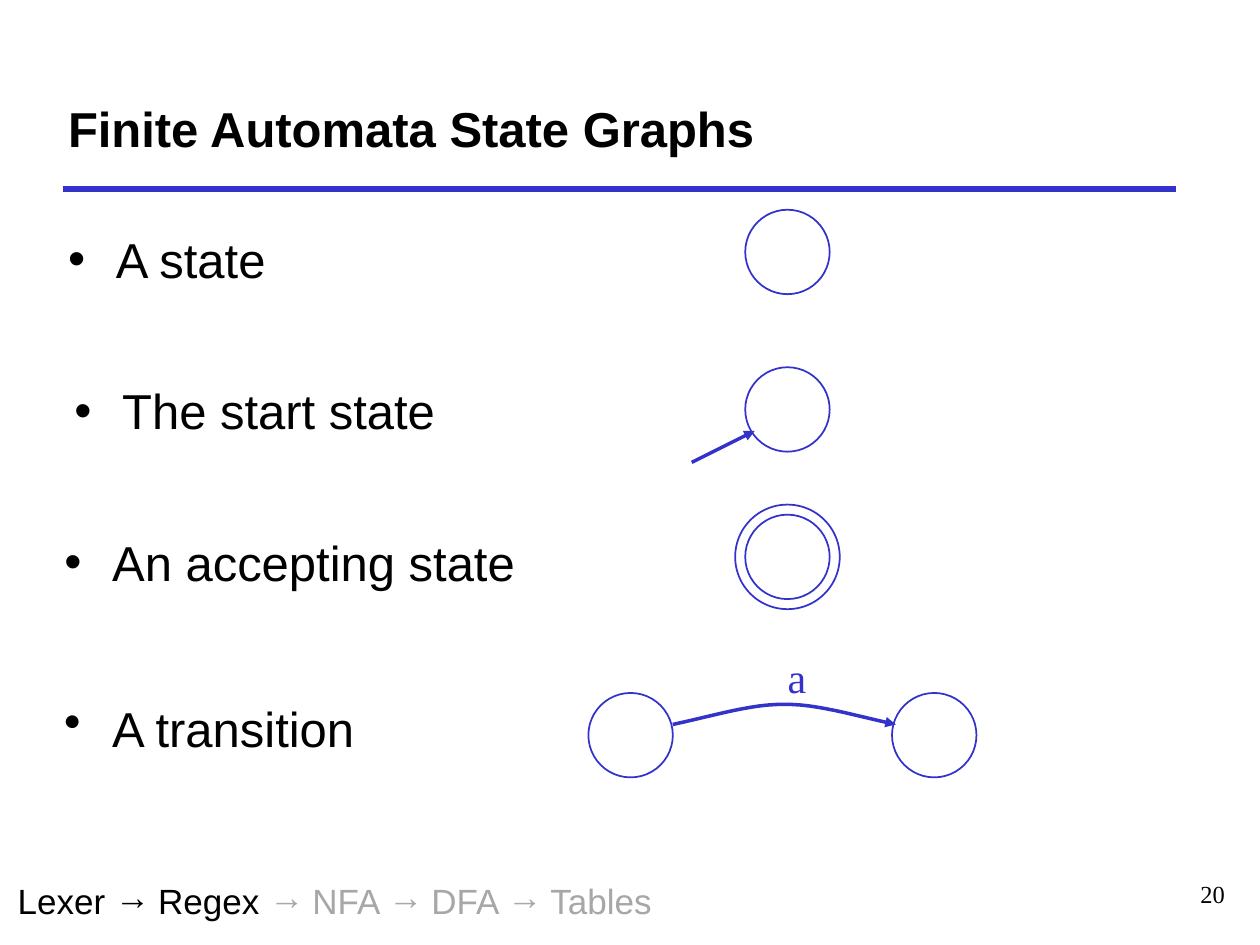
from lxml import etree
from pptx import Presentation
from pptx.dml.color import RGBColor
from pptx.enum import shapes, text
from pptx.oxml import ns
from pptx.util import Inches, Pt

COLORS = {"ink": "000000", "blue": "3333CC", "muted": "A7A7A7"}
STATE_SIZE = 0.67


def add_span(para, words, size, font="Arial", color="ink", bold=False):
    span = para.add_run()
    span.text = words
    span.font.size = Pt(size)
    span.font.name = font
    span.font.bold = bold
    span.font.color.rgb = RGBColor.from_string(COLORS[color])


def format_frame(shape, box, top_inset=0.01):
    shape.left, shape.top, shape.width, shape.height = map(Inches, box)
    frame = shape.text_frame
    frame.word_wrap = True
    frame.auto_size = text.MSO_AUTO_SIZE.NONE
    frame.vertical_anchor = text.MSO_ANCHOR.TOP
    frame.margin_left = frame.margin_right = frame.margin_bottom = 0
    frame.margin_top = Inches(top_inset)
    para = frame.paragraphs[0]
    para.alignment = text.PP_ALIGN.LEFT
    para.space_before = Pt(1)
    return frame


def add_text_box(page, box, top_inset=0.01):
    shape = page.shapes.add_textbox(*map(Inches, box))
    return format_frame(shape, box, top_inset)


def add_bullet(para, words, margin, space_before=1):
    para.space_before = Pt(space_before)
    props = para._p.get_or_add_pPr()
    props.set("marL", str(Inches(margin)))
    props.set("indent", str(Inches(-0.38)))
    etree.SubElement(props, ns.qn("a:buChar")).set("char", "•")
    add_span(para, words, 28)


def style_line(shape, width, arrow=False):
    shape.line.color.rgb = RGBColor.from_string(COLORS["blue"])
    shape.line.width = Pt(width)
    if arrow:
        line = shape.line._get_or_add_ln()
        etree.SubElement(line, ns.qn("a:tailEnd")).set("type", "triangle")


def add_line(page, start, end, width, arrow=False):
    line = page.shapes.add_connector(
        shapes.MSO_CONNECTOR.STRAIGHT, *map(Inches, (*start, *end)))
    style_line(line, width, arrow)
    etree.SubElement(line._element.spPr, ns.qn("a:effectLst"))


def add_state(page, center_x, center_y, size=STATE_SIZE):
    state = page.shapes.add_shape(
        shapes.MSO_SHAPE.OVAL, Inches(center_x - size / 2),
        Inches(center_y - size / 2), Inches(size), Inches(size))
    state.shadow.inherit = False
    state.fill.background()
    style_line(state, 1)


def bezier(points, steps=12):
    a, b, c, d = points
    for step in range(steps + 1):
        t = step / steps
        u = 1 - t
        yield tuple(u**3 * a[i] + 3 * u * u * t * b[i]
                    + 3 * u * t * t * c[i] + t**3 * d[i] for i in (0, 1))


def add_arc(page, box):
    """Draw a symmetric arched arrow whose feet are the box's lower corners."""
    left, top, width, height = box
    bottom, middle = top + height, left + width / 2
    rise = list(bezier([(left, bottom), (left + 0.37, bottom - height / 2),
                        (middle - 0.27, top), (middle, top)]))
    fall = [(2 * middle - x, y) for x, y in reversed(rise[:-1])]
    points = [(Inches(x), Inches(y)) for x, y in rise + fall]
    builder = page.shapes.build_freeform(*points[0])
    builder.add_line_segments(points[1:], close=False)
    arc = builder.convert_to_shape()
    arc.shadow.inherit = False
    arc.fill.background()
    style_line(arc, 2, arrow=True)


def add_heading(page, box):
    frame = format_frame(page.shapes.title, box)
    add_span(frame.paragraphs[0], "Finite Automata State Graphs", 28, bold=True)
    add_line(page, (0.5, 1.5), (9.33, 1.5), 3)


def add_terms(page, box):
    frame = format_frame(page.placeholders[1], box)
    terms = [("A state", 0.42, 1), ("The start state", 0.47, 53),
             ("An accepting state", 0.39, 53)]
    for index, term in enumerate(terms):
        para = frame.add_paragraph() if index else frame.paragraphs[0]
        add_bullet(para, *term)


def add_single_states(page, center_x):
    # Plain state
    add_state(page, center_x, 2)
    # Start state
    add_state(page, center_x, 3.25)
    add_line(page, (5.49, 3.67), (5.99, 3.42), 2, arrow=True)
    # Accepting state
    for size in (STATE_SIZE, 0.83):
        add_state(page, center_x, 4.42, size)


def add_transition(page, box):
    left, top, width, height = box
    term = add_text_box(page, (0.5, 5.53, 2.33, 0.49))
    add_bullet(term.paragraphs[0], "A transition", 0.39)
    radius = STATE_SIZE / 2
    for center_x in (left + radius, left + width - radius):
        add_state(page, center_x, top + height / 2)
    add_arc(page, (left + STATE_SIZE, top + 0.09, 1.77, 0.16))
    label = add_text_box(page, (6.25, 5.16, 0.18, 0.43))
    add_span(label.paragraphs[0], "a", 24, "Times New Roman", "blue")


def add_footer(page, box):
    para = add_text_box(page, box, 0).paragraphs[0]
    stages = ["Lexer", "Regex", "NFA", "DFA", "Tables"]
    for index, stage in enumerate(stages):
        color = "ink" if index < 2 else "muted"
        if index:
            add_span(para, "→ ", 20, "Arial Narrow", color)
        ending = "" if stage == stages[-1] else " "
        add_span(para, stage + ending, 20, color=color)
    number = add_text_box(page, (9.48, 6.98, 0.29, 0.24), 0).paragraphs[0]
    number.alignment = text.PP_ALIGN.CENTER
    add_span(number, "20", 14, "Times New Roman")


def main():
    deck = Presentation()
    deck.slide_width, deck.slide_height = Inches(10), Inches(7.5)
    page = deck.slides.add_slide(deck.slide_layouts[1])
    add_heading(page, (0.54, 0.77, 5.6, 0.49))
    add_terms(page, (0.5, 1.81, 3.6, 2.83))
    add_single_states(page, 6.25)
    add_transition(page, (4.67, 5.5, 3.08, STATE_SIZE))
    add_footer(page, (0.14, 6.98, 5.3, 0.36))
    deck.save("out.pptx")


if __name__ == "__main__":
    main()
